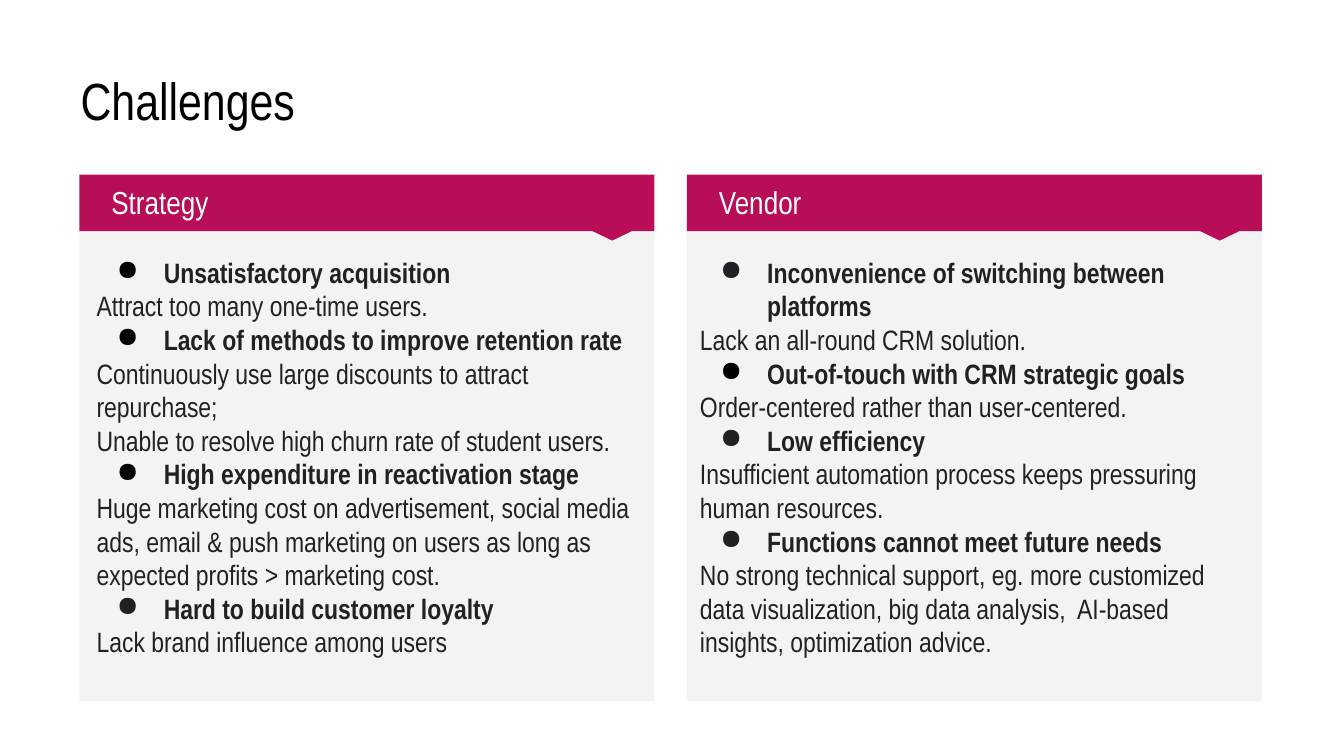
from dataclasses import dataclass

from lxml import etree
from pptx import Presentation
from pptx.dml.color import RGBColor
from pptx.enum.shapes import MSO_SHAPE
from pptx.enum.text import MSO_ANCHOR, MSO_AUTO_SIZE, PP_ALIGN
from pptx.oxml.ns import qn
from pptx.util import Inches, Pt

RECTANGLE = MSO_SHAPE.RECTANGLE
TRIANGLE = MSO_SHAPE.ISOSCELES_TRIANGLE
TOP, MIDDLE = MSO_ANCHOR.TOP, MSO_ANCHOR.MIDDLE
NO_AUTO_SIZE = MSO_AUTO_SIZE.NONE
LEFT = PP_ALIGN.LEFT


@dataclass(frozen=True)
class Theme:
    font: str = "Arial Narrow"
    black: str = "000000"
    ink: str = "202124"
    white: str = "FFFFFF"
    accent: str = "B80D57"
    panel: str = "F3F3F3"
    title_size: int = 28
    header_size: int = 17
    body_size: int = 15


THEME = Theme()

# Content: each challenge is (heading, bullet colour, explanations)
TITLE = "Challenges"
COLUMNS = [
    {
        "header": "Strategy",
        "text_margin": 0.03,
        "challenges": [
            ("Unsatisfactory acquisition", THEME.black,
             ["Attract too many one-time users."]),
            ("Lack of methods to improve retention rate", THEME.black,
             ["Continuously use large discounts to attract repurchase;",
              "Unable to resolve high churn rate of student users."]),
            ("High expenditure in reactivation stage", THEME.black,
             ["Huge marketing cost on advertisement, social media ads, email & push "
              "marketing on users as long as expected profits > marketing cost."]),
            ("Hard to build customer loyalty", THEME.ink,
             ["Lack brand influence among users"]),
        ],
    },
    {
        "header": "Vendor",
        "text_margin": 0,
        "challenges": [
            ("Inconvenience of switching between platforms", THEME.ink,
             ["Lack an all-round CRM solution."]),
            ("Out-of-touch with CRM strategic goals", THEME.black,
             ["Order-centered rather than user-centered."]),
            ("Low efficiency", THEME.ink,
             ["Insufficient automation process keeps pressuring human resources."]),
            ("Functions cannot meet future needs", THEME.ink,
             ["No strong technical support, eg. more customized data visualization, "
              "big data analysis,  AI-based insights, optimization advice."]),
        ],
    },
]

# Grid, in inches, on a 16:9 slide
SLIDE_WIDTH = 10
SLIDE_HEIGHT = SLIDE_WIDTH * 9 / 16
COLUMN_LEFT, COLUMN_WIDTH, COLUMN_GAP = 0.59, 4.28, 0.24
HEADER_TOP, HEADER_HEIGHT = 1.3, 0.42
PANEL_TOP, PANEL_HEIGHT = HEADER_TOP + HEADER_HEIGHT, 3.5
POINTER_WIDTH, POINTER_HEIGHT, POINTER_MARGIN = 0.33, 0.08, 0.15
BULLET_MARGIN, BULLET_INDENT = 0.5, -0.35
INSET = 0.1


def box(left, top, width, height):
    return [Inches(value) for value in (left, top, width, height)]


def add_filled(shapes, preset, bounds, color):
    shape = shapes.add_shape(preset, *box(*bounds))
    shape.shadow.inherit = False
    shape.fill.solid()
    shape.fill.fore_color.rgb = RGBColor.from_string(color)
    shape.line.fill.background()
    return shape


def format_frame(frame, anchor=TOP):
    frame.word_wrap = True
    frame.auto_size = NO_AUTO_SIZE
    frame.vertical_anchor = anchor
    frame.margin_left = frame.margin_right = Inches(INSET)
    frame.margin_top = frame.margin_bottom = Inches(INSET)


def add_run(paragraph, text, size, color, bold=False):
    run = paragraph.add_run()
    run.text = text
    run.font.name = THEME.font
    run.font.size = Pt(size)
    run.font.bold = bold
    run.font.color.rgb = RGBColor.from_string(color)


def add_bullet(paragraph, color):
    properties = paragraph._p.get_or_add_pPr()
    properties.set("marL", str(Inches(BULLET_MARGIN)))
    properties.set("indent", str(Inches(BULLET_INDENT)))
    bullet_color = etree.SubElement(properties, qn("a:buClr"))
    etree.SubElement(bullet_color, qn("a:srgbClr"), val=color)
    etree.SubElement(properties, qn("a:buChar"), char="●")


def add_header(slide, left, text):
    shapes = slide.shapes.add_group_shape().shapes
    add_filled(shapes, RECTANGLE, (left, HEADER_TOP, COLUMN_WIDTH, HEADER_HEIGHT), THEME.accent)
    pointer_left = left + COLUMN_WIDTH - POINTER_MARGIN - POINTER_WIDTH
    pointer = add_filled(shapes, TRIANGLE,
                         (pointer_left, PANEL_TOP - 0.01, POINTER_WIDTH, POINTER_HEIGHT),
                         THEME.accent)
    pointer.rotation = 180
    label = shapes.add_textbox(*box(left + 0.14, HEADER_TOP + 0.02, 2.02, 0.37))
    format_frame(label.text_frame, MIDDLE)
    add_run(label.text_frame.paragraphs[0], text, THEME.header_size, THEME.white)


def add_challenges(slide, left, margin, challenges):
    body = slide.shapes.add_textbox(
        *box(left + margin, PANEL_TOP + 0.08, COLUMN_WIDTH - 2 * margin, 3.16))
    frame = body.text_frame
    format_frame(frame)
    paragraph = frame.paragraphs[0]
    for index, (heading, bullet_color, explanations) in enumerate(challenges):
        if index:
            paragraph = frame.add_paragraph()
        add_bullet(paragraph, bullet_color)
        add_run(paragraph, heading, THEME.body_size, THEME.ink, bold=True)
        for explanation in explanations:
            add_run(frame.add_paragraph(), explanation, THEME.body_size, THEME.ink)


def main():
    presentation = Presentation()
    presentation.slide_width = Inches(SLIDE_WIDTH)
    presentation.slide_height = Inches(SLIDE_HEIGHT)
    slide = presentation.slides.add_slide(presentation.slide_layouts[5])

    # Title
    title = slide.shapes.title
    title.left, title.top, title.width, title.height = box(0.5, 0.41, 9, 0.63)
    format_frame(title.text_frame)
    paragraph = title.text_frame.paragraphs[0]
    paragraph.alignment = LEFT
    add_run(paragraph, TITLE, THEME.title_size, THEME.black)

    # Columns: panel, header with pointer, challenges
    for index, column in enumerate(COLUMNS):
        left = COLUMN_LEFT + index * (COLUMN_WIDTH + COLUMN_GAP)
        add_filled(slide.shapes, RECTANGLE, (left, PANEL_TOP, COLUMN_WIDTH, PANEL_HEIGHT),
                   THEME.panel)
        add_header(slide, left, column["header"])
        add_challenges(slide, left, column["text_margin"], column["challenges"])

    presentation.save("out.pptx")


if __name__ == "__main__":
    main()
